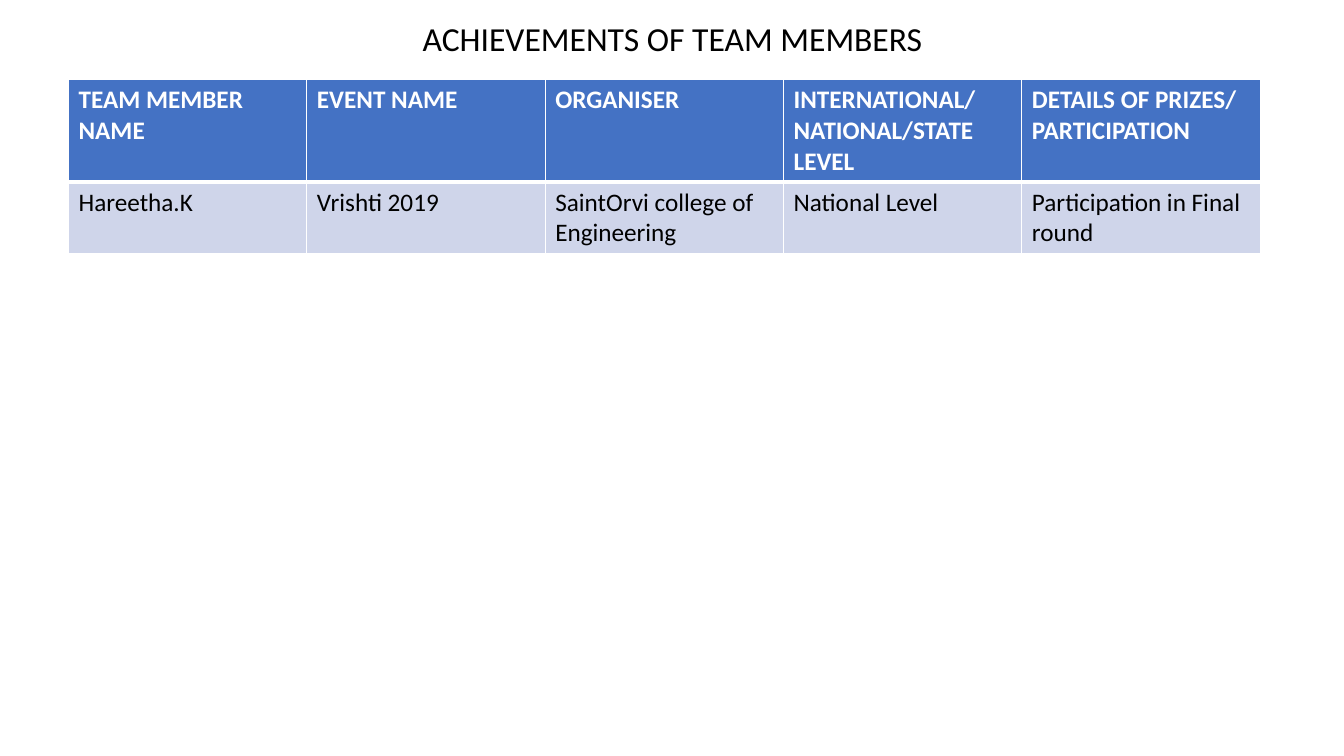
from pptx import Presentation
from pptx.dml.color import RGBColor
from pptx.enum.text import MSO_ANCHOR, MSO_AUTO_SIZE, PP_ALIGN
from pptx.oxml.ns import qn
from pptx.util import Inches, Pt
from lxml.etree import SubElement

COLORS = {
    "text": "000000",
    "white": "FFFFFF",
    "header": "4472C4",
    "body": "CFD5EA",
}
TITLE_FONT = {"name": "Calibri", "size": Pt(24), "bold": False}
HEADER_FONT = {"name": "Calibri", "size": Pt(18), "bold": True}
BODY_FONT = {"name": "Calibri", "size": Pt(18), "bold": False}

ACHIEVEMENTS = [
    ["TEAM MEMBER NAME", "EVENT NAME", "ORGANISER",
     "INTERNATIONAL/\nNATIONAL/STATE LEVEL", "DETAILS OF PRIZES/\nPARTICIPATION"],
    ["Hareetha.K", "Vrishti 2019", "SaintOrvi college of Engineering",
     "National Level", "Participation in Final round"],
]
COLUMN_WIDTH = 2.364
ROW_HEIGHTS = [1.01, 0.71]


def format_paragraph(paragraph, font_values, color):
    for run in paragraph.runs:
        for attribute, value in font_values.items():
            setattr(run.font, attribute, value)
        run.font.color.rgb = RGBColor.from_string(COLORS[color])


def add_title(slide, text):
    title = slide.shapes.title
    position = {"left": 0.17, "top": 0.17, "width": 13, "height": 7.16}
    for attribute, length in position.items():
        setattr(title, attribute, Inches(length))
    frame = title.text_frame
    frame.text = text
    frame.word_wrap = True
    frame.auto_size = MSO_AUTO_SIZE.NONE
    frame.vertical_anchor = MSO_ANCHOR.TOP
    paragraph = frame.paragraphs[0]
    paragraph_values = {"alignment": PP_ALIGN.CENTER, "line_spacing": 0.9,
                        "space_before": Pt(10)}
    for attribute, value in paragraph_values.items():
        setattr(paragraph, attribute, value)
    format_paragraph(paragraph, TITLE_FONT, "text")


def set_borders(cell, widths):
    properties = cell._tc.get_or_add_tcPr()
    for index, (side, width) in enumerate(widths.items()):
        line = properties.makeelement(qn(f"a:ln{side}"), {"w": str(Pt(width))})
        fill = SubElement(line, qn("a:solidFill"))
        SubElement(fill, qn("a:srgbClr"), val=COLORS["white"])
        # Borders come before the cell fill
        properties.insert(index, line)


def fill_cell(cell, text, is_header):
    cell.text = text
    cell.fill.solid()
    fill_color = COLORS["header" if is_header else "body"]
    cell.fill.fore_color.rgb = RGBColor.from_string(fill_color)
    for paragraph in cell.text_frame.paragraphs:
        format_paragraph(paragraph, HEADER_FONT if is_header else BODY_FONT,
                         "white" if is_header else "text")


def add_achievements_table(slide):
    column_count = len(ACHIEVEMENTS[0])
    table = slide.shapes.add_table(
        len(ACHIEVEMENTS), column_count, Inches(0.68), Inches(0.79),
        Inches(COLUMN_WIDTH * column_count), Inches(sum(ROW_HEIGHTS))).table
    for column in table.columns:
        column.width = Inches(COLUMN_WIDTH)
    for row_index, values in enumerate(ACHIEVEMENTS):
        table.rows[row_index].height = Inches(ROW_HEIGHTS[row_index])
        is_header = row_index == 0
        # A thick rule separates the header from the body
        widths = {"L": 1, "R": 1, "T": 1 if is_header else 3,
                  "B": 3 if is_header else 1}
        for column_index, text in enumerate(values):
            cell = table.cell(row_index, column_index)
            fill_cell(cell, text, is_header)
            set_borders(cell, widths)


def main():
    presentation = Presentation()
    presentation.slide_width = Inches(13.33)
    presentation.slide_height = Inches(7.5)
    slide = presentation.slides.add_slide(presentation.slide_layouts[5])

    # Heading
    add_title(slide, "ACHIEVEMENTS OF TEAM MEMBERS")

    # Achievements
    add_achievements_table(slide)

    presentation.save("out.pptx")


if __name__ == "__main__":
    main()
